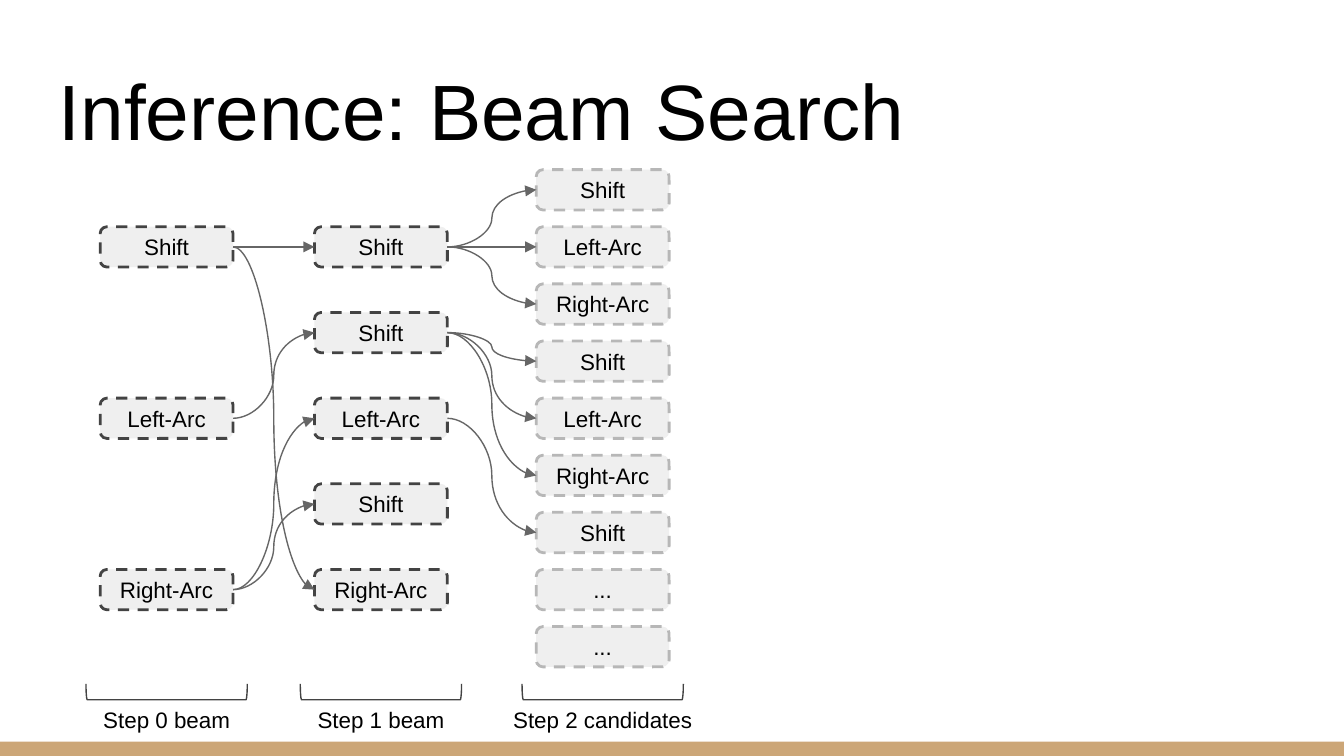
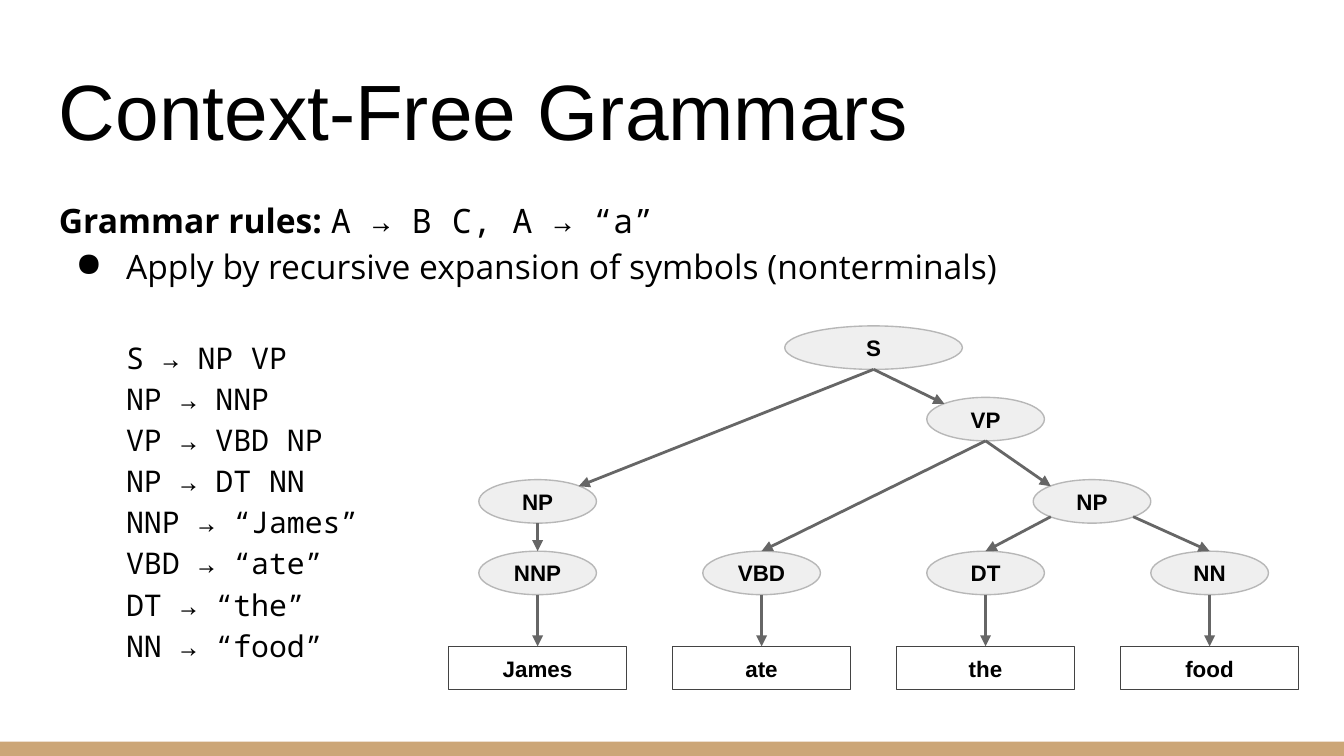
from lxml import etree
from pptx import Presentation
from pptx.dml.color import RGBColor
from pptx.enum import dml, shapes, text
from pptx.oxml import ns
from pptx.util import Pt

BLACK = RGBColor(0x00, 0x00, 0x00)
DARK = RGBColor(0x43, 0x43, 0x43)
MID = RGBColor(0x66, 0x66, 0x66)
GREY = RGBColor(0xB7, 0xB7, 0xB7)
PALE = RGBColor(0xEF, 0xEF, 0xEF)
TAN = RGBColor(0xCC, 0xA6, 0x77)

SANS, OPEN, MONO = "Arial", "Open Sans", "Noto Sans Mono"
KIND = shapes.MSO_SHAPE
LINK = shapes.MSO_CONNECTOR

# Connection sites as fractions of width and height, in preset order
NEAR, FAR = 0.15, 0.85
BOX = [(0.5, 0), (0, 0.5), (0.5, 1), (1, 0.5)]
OVAL = [(0.5, 0), (NEAR, NEAR), (0, 0.5), (NEAR, FAR),
        (0.5, 1), (FAR, FAR), (1, 0.5), (FAR, NEAR)]
TOP, LEFT, RIGHT = 0, 1, 3
O_LEFT, O_LOW_L, O_LOW, O_LOW_R, O_UP_R = 1, 3, 4, 5, 7


def add_run(para, words, size, font=SANS, bold=False):
    run = para.add_run()
    run.text = words
    run.font.size = Pt(size)
    run.font.name = font
    run.font.bold = bold
    run.font.color.rgb = BLACK


def set_frame(shape, anchor):
    frame = shape.text_frame
    frame.word_wrap = True
    frame.vertical_anchor = anchor
    frame.margin_left = frame.margin_right = Pt(7.2)
    frame.margin_top = frame.margin_bottom = Pt(7.2)
    return frame


def add_box(slide, left, top, width, height, anchor):
    box = slide.shapes.add_textbox(Pt(left), Pt(top), Pt(width), Pt(height))
    return set_frame(box, anchor)


def add_label(frame, words, bold=False):
    para = frame.paragraphs[0]
    para.alignment = text.PP_ALIGN.CENTER
    add_run(para, words, 12, bold=bold)


def add_form(slide, kind, mid, top, width, height, fill=None, line=None, weight=0.75):
    """Add a preset shape centred on the x position mid."""
    form = slide.shapes.add_shape(
        kind, Pt(mid - width / 2), Pt(top), Pt(width), Pt(height))
    form.shadow.inherit = False
    if fill is None:
        form.fill.background()
    else:
        form.fill.solid()
        form.fill.fore_color.rgb = fill
    if line is None:
        form.line.fill.background()
    else:
        form.line.color.rgb = line
        form.line.width = Pt(weight)
    return form


def find_site(form, site):
    sites = OVAL if form.auto_shape_type == KIND.OVAL else BOX
    across, down = sites[site]
    return int(form.left + across * form.width), int(form.top + down * form.height)


def add_link(slide, kind, start, out, end, into, weight):
    """Draw an arrow glued to a site of each of two shapes."""
    link = slide.shapes.add_connector(
        kind, *find_site(start, out), *find_site(end, into))
    link.line.color.rgb = MID
    link.line.width = Pt(weight)
    etree.SubElement(link.line._get_or_add_ln(), ns.qn("a:tailEnd"), type="triangle")
    etree.SubElement(link._element.spPr, ns.qn("a:effectLst"))
    glue = link._element.find(".//" + ns.qn("p:cNvCxnSpPr"))
    for tag, form, site in (("a:stCxn", start, out), ("a:endCxn", end, into)):
        etree.SubElement(glue, ns.qn(tag), id=str(form.shape_id), idx=str(site))


def add_slide(deck, title):
    """Add a blank slide with the shared bottom band and title."""
    slide = deck.slides.add_slide(deck.slide_layouts[6])
    add_form(slide, KIND.RECTANGLE, 360, 397.4, 720, 7.6, TAN)
    frame = add_box(slide, 24.5, 25.2, 671, 65.5, text.MSO_ANCHOR.BOTTOM)
    add_run(frame.paragraphs[0], title, 42)
    return slide


def add_beam(slide, mid, caption, moves, first, step, line):
    """Add a column of dashed moves with its bracket and caption."""
    forms = []
    for row, move in enumerate(moves):
        form = add_form(slide, KIND.ROUNDED_RECTANGLE, mid, first + row * step,
                        71.2, 21.6, PALE, line, 1.5)
        form.line.dash_style = dml.MSO_LINE.DASH
        add_label(set_frame(form, text.MSO_ANCHOR.MIDDLE), move)
        forms.append(form)
    brace = add_form(slide, KIND.LEFT_BRACKET, mid, 327.4, 8.6, 86.4, None, DARK)
    brace.rotation = 270
    add_label(add_box(slide, mid - 60, 374.7, 120, 21.6, text.MSO_ANCHOR.MIDDLE), caption)
    return forms


def add_search(deck):
    slide = add_slide(deck, "Inference: Beam Search")
    trio = ["Shift", "Left-Arc", "Right-Arc"]
    unit, top = 15.3, 121.5
    old = add_beam(slide, 89.3, "Step 0 beam", trio, top, 6 * unit, DARK)
    new = add_beam(slide, 204.1, "Step 1 beam",
                   ["Shift", "Shift", "Left-Arc", "Shift", "Right-Arc"],
                   top, 3 * unit, DARK)
    next_up = add_beam(slide, 322.9, "Step 2 candidates",
                       trio * 2 + ["Shift", "...", "..."],
                       top - 2 * unit, 2 * unit, GREY)
    paths = (
        (old, new, [(0, 0), (0, 4), (1, 1), (2, 3), (2, 2)]),
        (new, next_up, [(0, 0), (0, 1), (0, 2), (1, 3), (1, 4), (1, 5), (2, 6)]),
    )
    for start, end, pairs in paths:
        for i, j in pairs:
            add_link(slide, LINK.CURVE, start[i], RIGHT, end[j], LEFT, 0.75)


def add_para(frame, indent=0, hang=0):
    para = frame.paragraphs[0]
    if para.runs:
        para = frame.add_paragraph()
    para.line_spacing = 1.15
    props = para._p.get_or_add_pPr()
    props.set("marL", str(Pt(indent)))
    props.set("indent", str(Pt(-hang)))
    return para


def add_rules(slide):
    frame = add_box(slide, 24.5, 96.5, 671, 264, text.MSO_ANCHOR.TOP)
    para = add_para(frame)
    add_run(para, "Grammar rules: ", 18, OPEN, True)
    add_run(para, "A → B C, A → “a”", 18, MONO)
    para = add_para(frame, 36, 27)
    etree.SubElement(para._p.pPr, ns.qn("a:buChar"), char="●")
    add_run(para, "Apply by recursive expansion of symbols (nonterminals)", 18, OPEN)
    rules = ["S → NP VP", "NP → NNP", "VP → VBD NP", "NP → DT NN",
             "NNP → “James”", "VBD → “ate”", "DT → “the”", "NN → “food”"]
    for row, rule in enumerate(rules):
        para = add_para(frame, 36)
        if row == 0:
            para.space_before = Pt(25.5)
        add_run(para, rule, 16, MONO)


def add_node(slide, words, mid, top, width=63, kind=KIND.OVAL, fill=PALE, line=GREY):
    node = add_form(slide, kind, mid, top, width, 23.3, fill, line)
    add_label(set_frame(node, text.MSO_ANCHOR.MIDDLE), words, True)
    return node


def add_tree(slide):
    wide = 95.2
    root = add_node(slide, "S", 468, 174.6, wide)
    verb = add_node(slide, "VP", 528, 212.9)
    subj = add_node(slide, "NP", 288, 257)
    obj = add_node(slide, "NP", 585, 257)
    tags = []
    for col, (tag, word) in enumerate(
            [("NNP", "James"), ("VBD", "ate"), ("DT", "the"), ("NN", "food")]):
        mid = 288 + 120 * col
        node = add_node(slide, tag, mid, 295.3)
        leaf = add_node(slide, word, mid, 346.3, wide, KIND.RECTANGLE, None, DARK)
        add_link(slide, LINK.STRAIGHT, node, O_LOW, leaf, TOP, 1.5)
        tags.append(node)
    edges = [
        (root, O_LOW, subj, O_UP_R), (root, O_LOW, verb, O_LEFT),
        (verb, O_LOW, tags[1], TOP), (verb, O_LOW, obj, O_LEFT),
        (subj, O_LOW, tags[0], TOP),
        (obj, O_LOW_L, tags[2], TOP), (obj, O_LOW_R, tags[3], TOP),
    ]
    for edge in edges:
        add_link(slide, LINK.STRAIGHT, *edge, 1.5)


def main():
    deck = Presentation()
    deck.slide_width, deck.slide_height = Pt(720), Pt(405)
    add_search(deck)
    slide = add_slide(deck, "Context-Free Grammars")
    add_rules(slide)
    add_tree(slide)
    deck.save("out.pptx")


if __name__ == "__main__":
    main()
